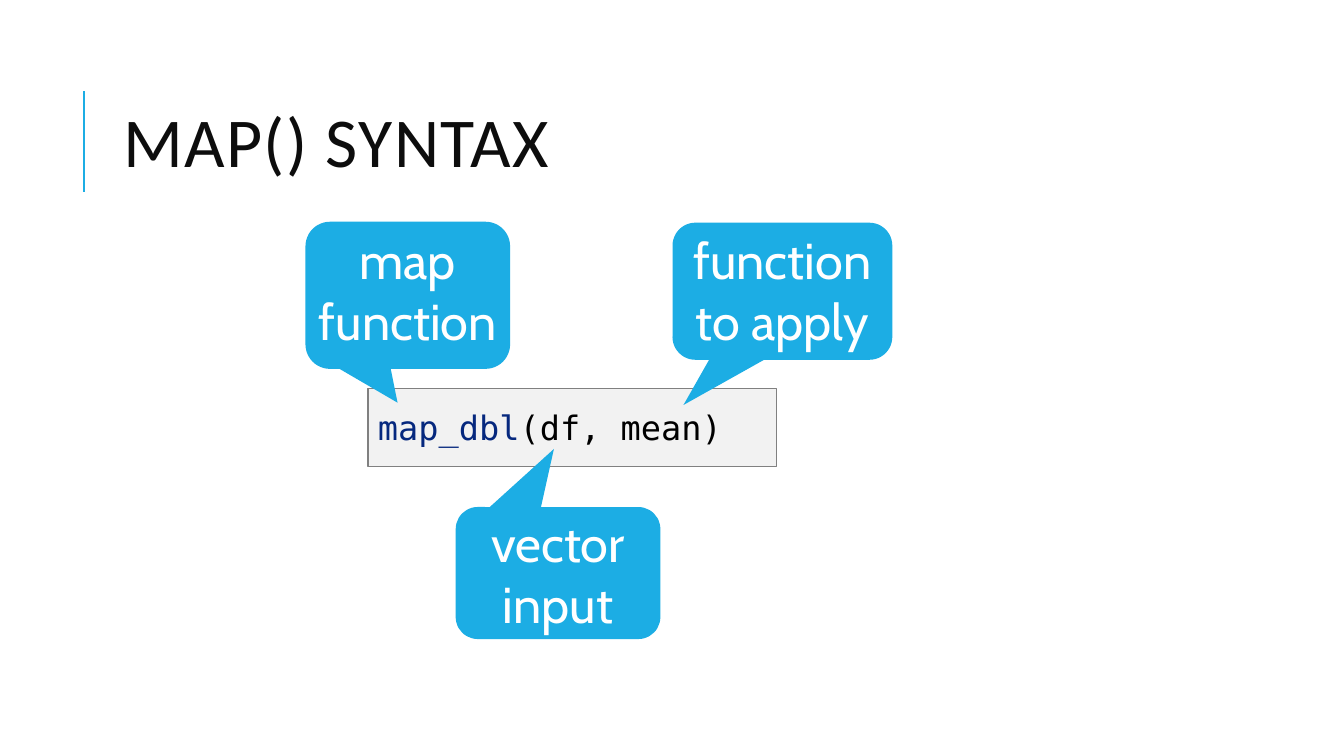
import pptx
import pptx.dml.color
import pptx.enum.shapes
import pptx.enum.text
import pptx.oxml
import pptx.util

PX = 9144
BLUE = "1CADE4"
Shape = pptx.enum.shapes.MSO_SHAPE
Align = pptx.enum.text.PP_ALIGN


def color(value):
    return pptx.dml.color.RGBColor.from_string(value)


def write(frame, pieces, align, font, size):
    frame.word_wrap = True
    frame.auto_size = pptx.enum.text.MSO_AUTO_SIZE.NONE
    frame.vertical_anchor = pptx.enum.text.MSO_ANCHOR.MIDDLE
    para = frame.paragraphs[0]
    para.alignment = align
    for text, ink in pieces:
        span = para.add_run()
        span.text = text
        for name, value in {"name": font, "size": pptx.util.Pt(size)}.items():
            setattr(span.font, name, value)
        span.font.color.rgb = color(ink)
    return para


deck = pptx.Presentation()
deck.slide_width = 1333 * PX
deck.slide_height = 750 * PX
page = deck.slides.add_slide(deck.slide_layouts[5])

title = page.shapes.title
for name, value in {"left": 112, "top": 64, "width": 1063, "height": 164}.items():
    setattr(title, name, value * PX)
para = write(title.text_frame, [("MAP() SYNTAX", "0D0D0D")], Align.LEFT, "Calibri", 50)
para.line_spacing = 0.8
para.runs[0].font._element.set("spc", "100")

rule = page.shapes.add_connector(
    pptx.enum.shapes.MSO_CONNECTOR.STRAIGHT, 83 * PX, 190 * PX, 83 * PX, 90 * PX
)
rule.line.color.rgb = color(BLUE)
rule.line.width = pptx.util.Pt(1.5)
rule._element.spPr.append(
    pptx.oxml.parse_xml(
        '<a:effectLst xmlns:a="http://schemas.openxmlformats.org/drawingml/2006/main"/>'
    )
)

code = page.shapes.add_shape(Shape.RECTANGLE, 365 * PX, 385 * PX, 405 * PX, 78 * PX)
code.shadow.inherit = False
code.fill.solid()
code.fill.fore_color.rgb = color("F2F2F2")
code.line.color.rgb = color("808080")
code.line.width = pptx.util.Pt(0.75)
write(
    code.text_frame,
    [("map_dbl", "06287E"), ("(df, mean)", "000000")],
    Align.LEFT,
    "DejaVu Sans Mono",
    24,
)

callouts = [
    ("map function", (303, 220, 203, 146), (-0.05, 0.73), 11),
    ("function to apply", (667, 221, 218, 136), (-0.45, 0.83), 3),
    ("vector input", (452, 503, 203, 131), (-0.02, -0.94), 0),
]
for text, box, tip, lift in callouts:
    callout = page.shapes.add_shape(
        Shape.ROUNDED_RECTANGULAR_CALLOUT, *(length * PX for length in box)
    )
    callout.shadow.inherit = False
    callout.fill.solid()
    callout.fill.fore_color.rgb = color(BLUE)
    callout.line.fill.background()
    callout.adjustments[0], callout.adjustments[1] = tip
    margins = {"left": 2, "right": 2, "top": 0, "bottom": lift}
    for side, margin in margins.items():
        setattr(callout.text_frame, "margin_" + side, margin * PX)
    write(callout.text_frame, [(text, "FFFFFF")], Align.CENTER, "Cabin", 36)

deck.save("out.pptx")
